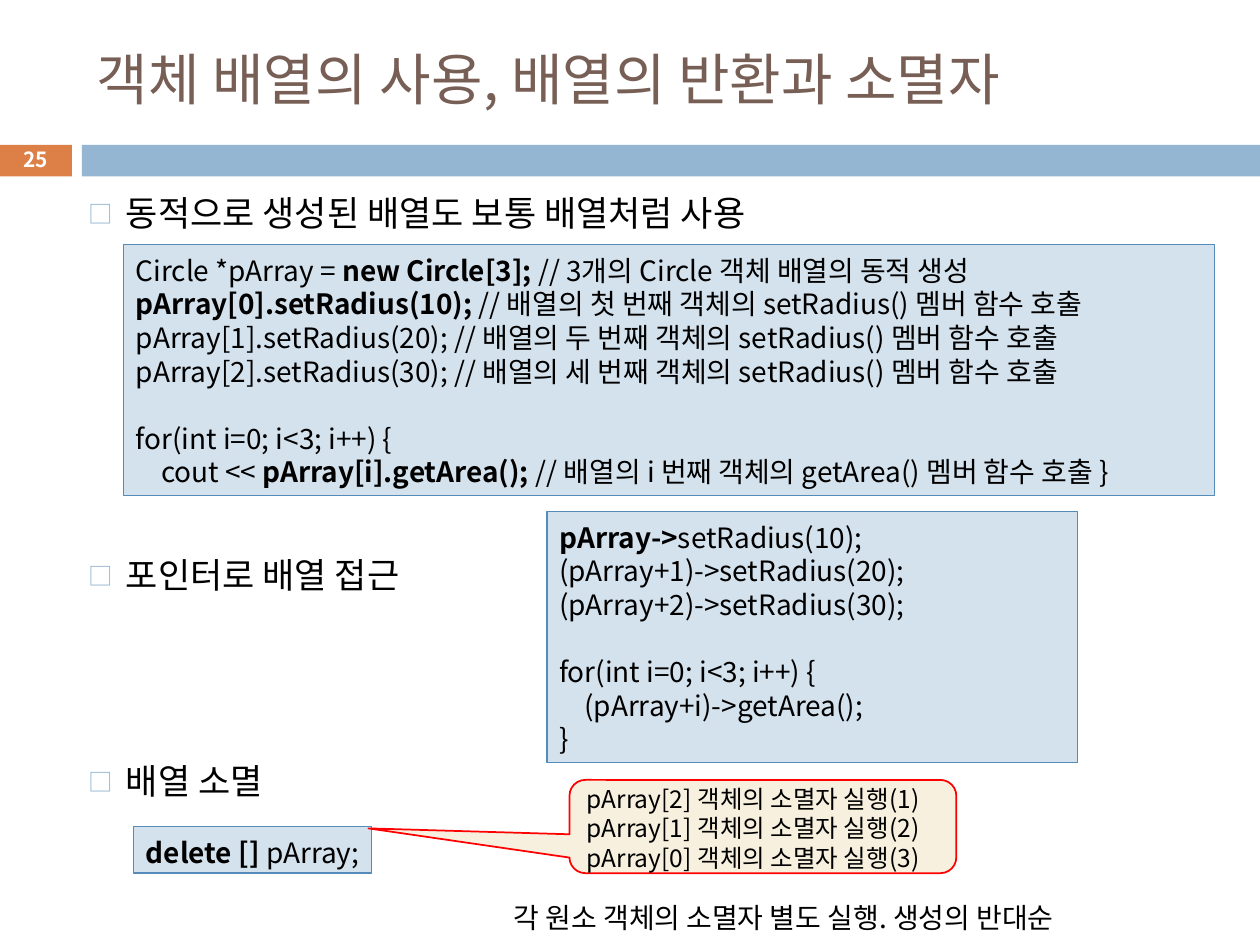
"""Build a lecture slide on using, returning and destroying object arrays."""
from lxml.etree import SubElement
from pptx import Presentation
from pptx.dml.color import RGBColor as RGB
from pptx.enum.shapes import MSO_SHAPE as Shape
from pptx.enum.text import MSO_ANCHOR as Anchor, PP_ALIGN as Align
from pptx.oxml.ns import qn
from pptx.util import Inches, Pt

FONT = "Noto Sans CJK KR"
COLORS = {"title": "775F55", "text": "000000", "number": "FFFFFF",
          "accent": "DD8047", "band": "94B6D2", "code": "D4E2ED",
          "code_line": "558BB8", "note": "F7F0DE", "note_line": "FF0000"}

TITLE = "객체 배열의 사용, 배열의 반환과 소멸자"
NUMBER = "25"
CAPTION = "각 원소 객체의 소멸자 별도 실행. 생성의 반대순"
BULLETS = [("동적으로 생성된 배열도 보통 배열처럼 사용", 0),
           ("포인터로 배열 접근", 183), ("배열 소멸", 93.7)]
BARS = [((-0.01, 1.15, 0.58, 0.25), "accent"), ((0.65, 1.15, 9.35, 0.25), "band")]
LOOP = "for(int i=0; i<3; i++) {"
CODE_BOXES = [
    ((0.98, 1.94, 8.66, 1.99), [
        ["Circle *pArray = ", ("new Circle[3]; ",), "// 3개의 Circle 객체 배열의 동적 생성"],
        [("pArray[0].setRadius(10); ",), "// 배열의 첫 번째 객체의 setRadius() 멤버 함수 호출"],
        ["pArray[1].setRadius(20); // 배열의 두 번째 객체의 setRadius() 멤버 함수 호출"],
        ["pArray[2].setRadius(30); // 배열의 세 번째 객체의 setRadius() 멤버 함수 호출"],
        [LOOP],
        ["cout << ", ("pArray[i].getArea(); ",), "// 배열의 i 번째 객체의 getArea() 멤버 함수 호출 }"]]),
    ((4.34, 4.06, 4.21, 1.99), [
        [("pArray->",), "setRadius(10);"],
        ["(pArray+1)->setRadius(20);"],
        ["(pArray+2)->setRadius(30);"],
        [LOOP],
        ["(pArray+i)->getArea();"],
        ["}"]]),
    ((1.06, 6.56, 1.89, 0.37), [[("delete [] ",), "pArray;"]]),
]
DESTROYED = [[f"pArray[{2 - i}] 객체의 소멸자 실행({i + 1})"] for i in range(3)]


def add_box(slide, at, fill, line=None, width=0.75, kind=Shape.RECTANGLE):
    sp = slide.shapes.add_shape(kind, *map(Inches, at))
    sp.shadow.inherit = False
    sp.fill.solid()
    sp.fill.fore_color.rgb = RGB.from_string(COLORS[fill])
    if line:
        sp.line.color.rgb = RGB.from_string(COLORS[line])
        sp.line.width = Pt(width)
    else:
        sp.line.fill.background()
    return sp


def add_text_box(slide, at):
    return slide.shapes.add_textbox(*map(Inches, at))


def set_text(sp, lines, size, pitch=None, color="text", anchor=Anchor.TOP,
             align=Align.LEFT, margins=(0.1, 0.07, 0, 0.05)):
    """Fill a shape with lines of runs; a run inside a tuple is bold."""
    tf = sp.text_frame
    tf.word_wrap = True
    tf.vertical_anchor = anchor
    tf.margin_left, tf.margin_top, tf.margin_right, tf.margin_bottom = map(Inches, margins)
    for i, runs in enumerate(lines):
        p = tf.add_paragraph() if i else tf.paragraphs[0]
        p.alignment = align
        if pitch:
            p.line_spacing = Pt(pitch)
        for run in runs:
            r = p.add_run()
            r.font.bold = isinstance(run, tuple)
            r.text = run[0] if r.font.bold else run
            r.font.size = Pt(size)
            r.font.name = FONT
            r.font.color.rgb = RGB.from_string(COLORS[color])
            SubElement(r.font._element, qn("a:ea"), typeface=FONT)
    return tf.paragraphs


def set_indent(p, left, first=0):
    pPr = p._p.get_or_add_pPr()
    pPr.set("marL", str(Inches(left)))
    pPr.set("indent", str(Inches(first)))
    return pPr


def add_bullet(p):
    pPr = set_indent(p, 0.7, -0.3)
    SubElement(SubElement(pPr, qn("a:buClr")), qn("a:srgbClr"), val=COLORS["band"])
    SubElement(pPr, qn("a:buSzPct"), val="70000")
    SubElement(pPr, qn("a:buFont"), typeface=FONT)
    SubElement(pPr, qn("a:buChar"), char="□")


def main():
    prs = Presentation()
    prs.slide_width, prs.slide_height = Inches(10), Inches(7.5)
    slide = prs.slides.add_slide(prs.slide_layouts[6])

    for at, fill in BARS:
        add_box(slide, at, fill)
    set_text(add_text_box(slide, (0.67, 0.25, 8.92, 0.74)), [[TITLE]], 32,
             color="title", anchor=Anchor.MIDDLE, margins=(0.1, 0.05, 0.1, 0.05))
    set_text(add_text_box(slide, (-0.01, 1.13, 0.58, 0.27)), [[(NUMBER,)]], 11.9,
             color="number", anchor=Anchor.MIDDLE, align=Align.CENTER, margins=(0, 0, 0, 0))

    body = add_text_box(slide, (0.2, 1.47, 8.92, 5.91))
    paragraphs = set_text(body, [[text] for text, gap in BULLETS], 20, 24,
                          margins=(0.1, 0.05, 0.1, 0.05))
    for p, (text, gap) in zip(paragraphs, BULLETS):
        p.space_before = Pt(gap)
        add_bullet(p)

    for at, lines in CODE_BOXES:
        paragraphs = set_text(add_box(slide, at, "code", "code_line"), lines, 16, 19.2)
        if [LOOP] in lines:
            loop = lines.index([LOOP])
            paragraphs[loop].space_before = Pt(19.2)
            set_indent(paragraphs[loop + 1], 0.2)

    note = add_box(slide, (4.52, 6.19, 3.07, 0.74), "note", "note_line", 1,
                   Shape.ROUNDED_RECTANGULAR_CALLOUT)
    for i, value in enumerate((-1.02, 0.02, 0.17)):
        note.adjustments[i] = value
    set_text(note, DESTROYED, 14, 16.8, anchor=Anchor.MIDDLE)
    set_text(add_text_box(slide, (3.98, 7.08, 5.07, 0.37)), [[CAPTION]], 16, 19.2)
    prs.save("out.pptx")


if __name__ == "__main__":
    main()
